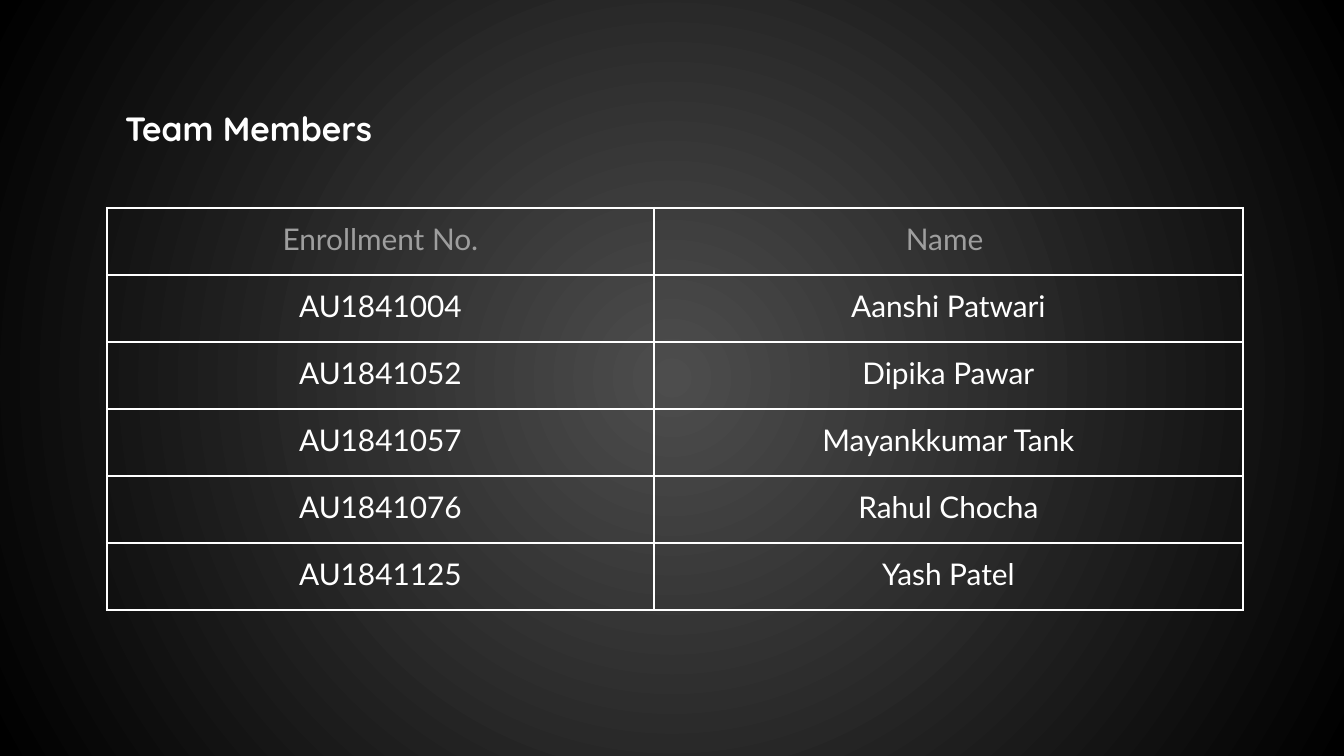
import dataclasses
from typing import Any

import lxml.etree
import pptx
import pptx.dml.color
import pptx.enum.text
import pptx.oxml.ns
import pptx.util

PX = 9144000 / 1344
INSET = 13
ROW_HEIGHT = 67
COLUMN_WIDTHS = (547, 589)
WHITE = "FFFFFF"
GREY = "9E9E9E"
ALIGN = pptx.enum.text.PP_ALIGN
ANCHOR = pptx.enum.text.MSO_ANCHOR
SIDES = ("left", "top", "right", "bottom")


@dataclasses.dataclass(frozen=True)
class Member:
    enrollment: str
    name: str
    color: str = WHITE


ROWS = (
    Member("Enrollment No.", "Name ", GREY),
    Member("AU1841004", "Aanshi Patwari"),
    Member("AU1841052", "Dipika Pawar"),
    Member("AU1841057", "Mayankkumar Tank"),
    Member("AU1841076", "Rahul Chocha"),
    Member("AU1841125", "Yash Patel"),
)


def px(length: int) -> pptx.util.Emu:
    return pptx.util.Emu(round(length * PX))


def rgb(color: str) -> pptx.dml.color.RGBColor:
    return pptx.dml.color.RGBColor.from_string(color)


def apply(target: Any, values: dict[str, Any]) -> None:
    for key, value in values.items():
        setattr(target, key, value)


def set_margins(target: Any) -> None:
    apply(target, {f"margin_{side}": px(INSET) for side in SIDES})


def write(frame: Any, text: str, color: str, para_format: dict[str, Any], font_format: dict[str, Any]) -> None:
    para = frame.paragraphs[0]
    apply(para, para_format)
    span = para.add_run()
    span.text = text
    apply(span.font, font_format)
    span.font.color.rgb = rgb(color)


def paint_background(page: Any) -> None:
    fill = page.background.fill
    fill.gradient()
    for stop, position, color in zip(fill.gradient_stops, (0, 1), ("4D4D4D", "000000")):
        stop.position = position
        stop.color.rgb = rgb(color)
    gradient = page.element.xpath(".//a:gradFill")[0]
    gradient.remove(gradient.find(pptx.oxml.ns.qn("a:lin")))
    circle = lxml.etree.SubElement(gradient, pptx.oxml.ns.qn("a:path"), path="circle")
    center = dict.fromkeys("ltrb", "50000")
    lxml.etree.SubElement(circle, pptx.oxml.ns.qn("a:fillToRect"), center)


def draw_title(page: Any) -> None:
    box = page.shapes.title
    apply(box, {"left": px(112), "top": px(95), "width": px(907), "height": px(60)})
    frame = box.text_frame
    set_margins(frame)
    apply(frame, {
        "vertical_anchor": ANCHOR.MIDDLE,
        "word_wrap": True,
        "auto_size": pptx.enum.text.MSO_AUTO_SIZE.NONE,
    })
    write(
        frame, "Team Members", WHITE,
        {"alignment": ALIGN.LEFT, "line_spacing": 1.15},
        {"name": "Quicksand", "size": pptx.util.Pt(18), "bold": True},
    )


def add_borders(cell: Any) -> None:
    properties = cell._tc.get_or_add_tcPr()
    for index, side in enumerate("LRTB"):
        line = properties.makeelement(pptx.oxml.ns.qn(f"a:ln{side}"), {"w": str(pptx.util.Pt(1.5))})
        fill = lxml.etree.SubElement(line, pptx.oxml.ns.qn("a:solidFill"))
        lxml.etree.SubElement(fill, pptx.oxml.ns.qn("a:srgbClr"), val=WHITE)
        properties.insert(index, line)


def fill_cell(cell: Any, text: str, color: str) -> None:
    cell.fill.background()
    add_borders(cell)
    set_margins(cell)
    cell.vertical_anchor = ANCHOR.TOP
    write(
        cell.text_frame, text, color,
        {"alignment": ALIGN.CENTER},
        {"name": "Lato", "size": pptx.util.Pt(16)},
    )


def draw_table(page: Any, members: tuple[Member, ...]) -> None:
    width, height = sum(COLUMN_WIDTHS), ROW_HEIGHT * len(members)
    table = page.shapes.add_table(
        len(members), len(COLUMN_WIDTHS), px(107), px(208), px(width), px(height)
    ).table
    apply(table, {"first_row": False, "horz_banding": False})
    for column, column_width in zip(table.columns, COLUMN_WIDTHS):
        column.width = px(column_width)
    for row, member in zip(table.rows, members):
        row.height = px(ROW_HEIGHT)
        for cell, text in zip(row.cells, (member.enrollment, member.name)):
            fill_cell(cell, text, member.color)


def main() -> None:
    deck = pptx.Presentation()
    apply(deck, {"slide_width": px(1344), "slide_height": px(756)})
    page = deck.slides.add_slide(deck.slide_layouts.get_by_name("Title Only"))
    paint_background(page)
    draw_title(page)
    draw_table(page, ROWS)
    deck.save("out.pptx")


if __name__ == "__main__":
    main()
